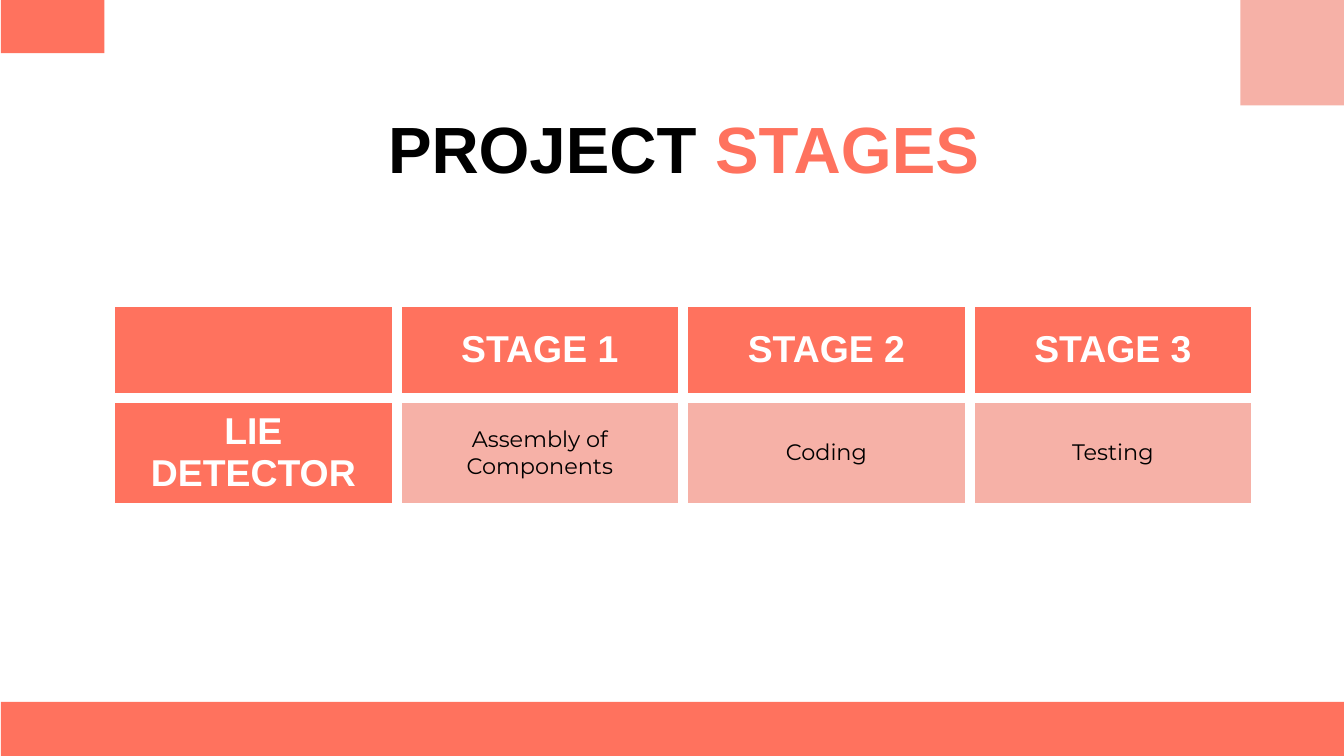
from lxml.etree import SubElement
from pptx import Presentation
from pptx.dml.color import RGBColor
from pptx.enum.shapes import MSO_SHAPE as Shape
from pptx.enum.text import MSO_ANCHOR as Anchor, PP_ALIGN as Align
from pptx.oxml.ns import qn
from pptx.util import Pt

COLORS = {"coral": "FF725E", "pink": "F6B1A7", "white": "FFFFFF", "black": "000000"}
STAGES = [("STAGE 1", "Assembly of Components"), ("STAGE 2", "Coding"), ("STAGE 3", "Testing")]
INSET = Pt(7.2)


def color(name):
    return RGBColor.from_string(COLORS[name])


def add_block(page, left, top, width, height, fill):
    block = page.shapes.add_shape(Shape.RECTANGLE, Pt(left), Pt(top), Pt(width), Pt(height))
    block.shadow.inherit = False
    block.fill.solid()
    block.fill.fore_color.rgb = color(fill)
    block.line.fill.background()


def add_span(para, text, size, ink, font="Arial", bold=True):
    para.alignment = Align.CENTER
    span = para.add_run()
    span.text = text
    span.font.size = Pt(size)
    span.font.name = font
    span.font.bold = bold
    span.font.color.rgb = color(ink)


def set_insets(holder):
    holder.margin_left = holder.margin_right = INSET
    holder.margin_top = holder.margin_bottom = INSET
    holder.vertical_anchor = Anchor.MIDDLE


def add_title(page):
    box = page.shapes.add_textbox(Pt(53.5), Pt(61), Pt(625.5), Pt(35.5))
    frame = box.text_frame
    frame.word_wrap = True
    set_insets(frame)
    para = frame.paragraphs[0]
    add_span(para, "PROJECT ", 35, "black")
    add_span(para, "STAGES", 35, "coral")


def set_borders(cell, width, ink):
    properties = cell._tc.get_or_add_tcPr()
    for side in ("lnL", "lnR", "lnT", "lnB"):
        line = SubElement(properties, qn(f"a:{side}"), w=str(Pt(width)))
        fill = SubElement(line, qn("a:solidFill"))
        SubElement(fill, qn("a:srgbClr"), val=COLORS[ink])


def fill_cell(cell, text, is_heading):
    set_insets(cell)
    set_borders(cell, 6, "white")
    cell.fill.solid()
    cell.fill.fore_color.rgb = color("coral" if is_heading else "pink")
    para = cell.text_frame.paragraphs[0]
    if text and is_heading:
        add_span(para, text, 20, "white")
    elif text:
        add_span(para, text, 12, "black", "Montserrat", False)


def add_stage_table(page):
    headings, tasks = zip(*STAGES)
    rows = [("", *headings), ("LIE DETECTOR", *tasks)]
    frame = page.shapes.add_table(len(rows), len(rows[0]), Pt(59), Pt(162), Pt(614), Pt(102))
    table = frame.table
    for row_index, texts in enumerate(rows):
        for column_index, text in enumerate(texts):
            is_heading = row_index == 0 or column_index == 0
            fill_cell(table.cell(row_index, column_index), text, is_heading)


def main():
    """Build the project stages slide."""
    deck = Presentation()
    deck.slide_width, deck.slide_height = Pt(720), Pt(405)
    page = deck.slides.add_slide(deck.slide_layouts[6])
    add_block(page, 0.5, 376, 719.5, 29, "coral")
    add_block(page, 0.5, 0, 55.5, 28.5, "coral")
    add_block(page, 664.5, 0, 55.5, 56.5, "pink")
    add_stage_table(page)
    add_title(page)
    deck.save("out.pptx")


if __name__ == "__main__":
    main()
